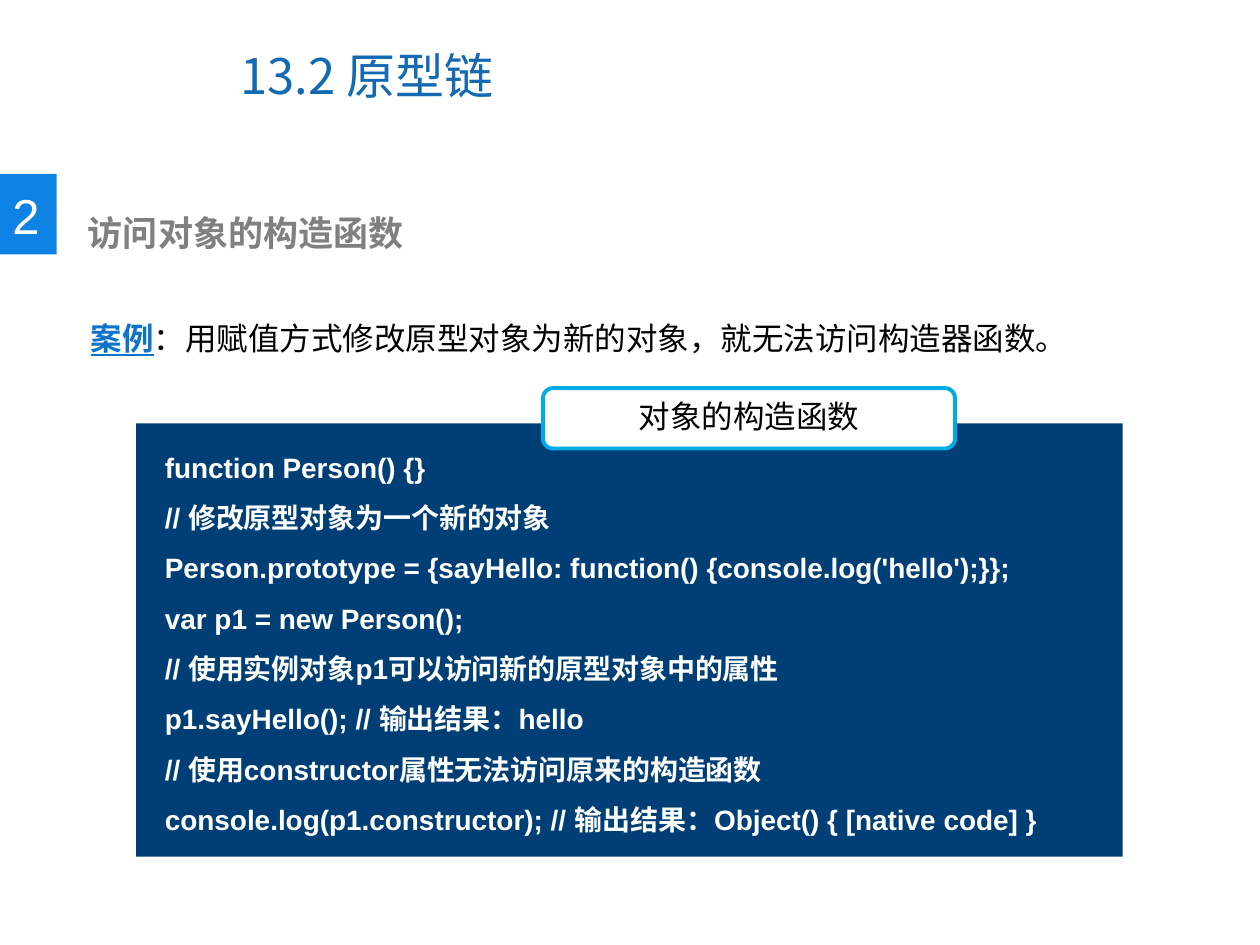
import pptx
import pptx.dml.color
import pptx.enum.shapes
import pptx.enum.text
import pptx.util
from lxml import etree
from pptx.oxml.ns import qn
from pptx.util import Inches

COLORS = {
    "white": "FFFFFF",
    "black": "000000",
    "title": "1369B2",
    "link": "0D74C9",
    "badge": "0F83E3",
    "heading": "808080",
    "code": "003F75",
    "outline": "00ACE6",
}
LATIN = "Arial"
CHINESE = "Noto Sans CJK SC"
SHAPES = pptx.enum.shapes.MSO_SHAPE
ANCHOR = pptx.enum.text.MSO_ANCHOR
ALIGN = pptx.enum.text.PP_ALIGN

CODE_LINES = [
    "function Person() {}",
    "// 修改原型对象为一个新的对象",
    "Person.prototype = {sayHello: function() {console.log('hello');}};",
    "var p1 = new Person();",
    "// 使用实例对象p1可以访问新的原型对象中的属性",
    "p1.sayHello(); // 输出结果：hello",
    "// 使用constructor属性无法访问原来的构造函数",
    "console.log(p1.constructor); // 输出结果：Object() { [native code] }",
]


def rgb(name):
    return pptx.dml.color.RGBColor.from_string(COLORS[name])


def add_span(para, text, size, color, bold=False, underline=False, latin=LATIN):
    span = para.add_run()
    span.text = text
    font = span.font
    font.size = pptx.util.Pt(size)
    font.bold = bold
    font.underline = underline
    font.color.rgb = rgb(color)
    font.name = latin
    east_asian = etree.SubElement(font._element, qn("a:ea"))
    east_asian.set("typeface", CHINESE)


def add_box(page, left, top, width, height, wrap=True, anchor=ANCHOR.TOP):
    box = page.shapes.add_textbox(
        Inches(left), Inches(top), Inches(width), Inches(height))
    box.text_frame.word_wrap = wrap
    box.text_frame.vertical_anchor = anchor
    return box.text_frame


def add_block(page, kind, left, top, width, height, fill, line=None):
    block = page.shapes.add_shape(
        kind, Inches(left), Inches(top), Inches(width), Inches(height))
    block.shadow.inherit = False
    block.fill.solid()
    block.fill.fore_color.rgb = rgb(fill)
    if line:
        block.line.color.rgb = rgb(line)
        block.line.width = pptx.util.Pt(2.25)
    else:
        block.line.fill.background()
    return block


def add_title(page):
    frame = add_box(page, 1.81, 0.17, 5.16, 0.85, anchor=ANCHOR.MIDDLE)
    para = frame.paragraphs[0]
    add_span(para, "13.2 ", 28, "title", latin=CHINESE)
    add_span(para, "原型链", 28, "title")


def add_heading(page):
    add_block(page, SHAPES.RECTANGLE, 0, 1.38, 0.45, 0.64, "badge")
    number = add_box(page, 0, 1.42, 0.42, 0.57, wrap=False)
    add_span(number.paragraphs[0], "2", 28, "white")
    heading = add_box(page, 0.6, 1.63, 5, 0.44)
    add_span(heading.paragraphs[0], "访问对象的构造函数", 20, "heading", bold=True)


def add_example(page):
    para = add_box(page, 0.62, 2.18, 8.65, 0.61).paragraphs[0]
    para.line_spacing = 2.0
    add_span(para, "案例", 18, "link", bold=True, underline=True)
    add_span(para, "：用赋值方式修改原型对象为新的对象，就无法访问构造器函数。",
             18, "black")


def add_code(page):
    add_block(page, SHAPES.RECTANGLE, 1.08, 3.36, 7.83, 3.44, "code")
    frame = add_box(page, 1.21, 3.39, 7.71, 2.74)
    for index, line in enumerate(CODE_LINES):
        para = frame.add_paragraph() if index else frame.paragraphs[0]
        para.line_spacing = 1.5
        add_span(para, line, 16, "white", bold=True)


def add_code_label(page):
    label = add_block(page, SHAPES.ROUNDED_RECTANGLE, 4.31, 3.08, 3.27, 0.48,
                      "white", "outline")
    label.text_frame.vertical_anchor = ANCHOR.TOP
    para = label.text_frame.paragraphs[0]
    para.alignment = ALIGN.CENTER
    add_span(para, "对象的构造函数", 18, "black")


def main():
    deck = pptx.Presentation()
    deck.slide_width = Inches(10)
    deck.slide_height = Inches(7.5)
    page = deck.slides.add_slide(deck.slide_layouts[6])
    add_example(page)
    add_title(page)
    add_heading(page)
    add_code(page)
    add_code_label(page)
    deck.save("out.pptx")


if __name__ == "__main__":
    main()
